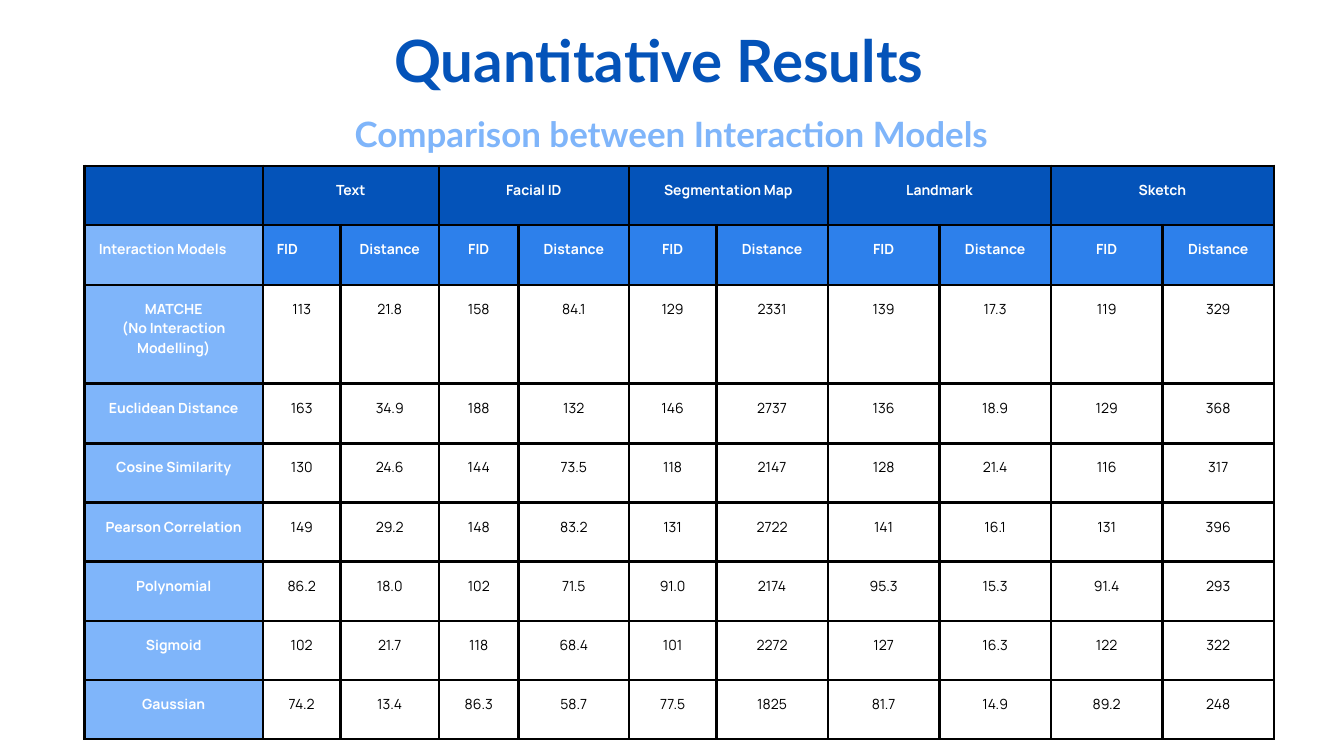
from dataclasses import dataclass

from lxml.etree import SubElement
from pptx import Presentation
from pptx.dml.color import RGBColor
from pptx.enum.text import MSO_ANCHOR, PP_ALIGN as Align
from pptx.oxml.ns import qn
from pptx.util import Pt

PX = 9144  # EMU per px, 100 px to the inch
NAVY, BLUE, SKY = "0453B9", "2D80EB", "7FB5FA"
WHITE, BLACK = "FFFFFF", "000000"
CELL_INSET = 21
BORDER_PT = 3

MODALITIES = ["Text", "Facial ID", "Segmentation Map", "Landmark", "Sketch"]
METRICS = ["FID", "Distance"]
RESULTS = {
    "MATCHE\n(No Interaction Modelling)": "113 21.8 158 84.1 129 2331 139 17.3 119 329",
    "Euclidean Distance": "163 34.9 188 132 146 2737 136 18.9 129 368",
    "Cosine Similarity": "130 24.6 144 73.5 118 2147 128 21.4 116 317",
    "Pearson Correlation": "149 29.2 148 83.2 131 2722 141 16.1 131 396",
    "Polynomial": "86.2 18.0 102 71.5 91.0 2174 95.3 15.3 91.4 293",
    "Sigmoid": "102 21.7 118 68.4 101 2272 127 16.3 122 322",
    "Gaussian": "74.2 13.4 86.3 58.7 77.5 1825 81.7 14.9 89.2 248",
}
COLUMN_WIDTHS = [265, 116, 146, 119, 164, 130] + [166] * 5
ROW_HEIGHTS = [88, 89, 147, 89] + [88] * 5


@dataclass(frozen=True)
class TextStyle:
    font: str
    size: float
    leading: float
    color: str
    bold: bool = True
    align: Align = Align.CENTER


@dataclass(frozen=True)
class Heading:
    text: str
    left: int
    top: int
    width: int
    height: int
    style: TextStyle


HEADINGS = [
    Heading("Quantitative Results", 397, 41, 1167, 100,
            TextStyle("Lato", 62.4, 71.8, NAVY)),
    Heading("Comparison between Interaction Models", 212, 170, 1575, 61,
            TextStyle("Lato", 37.4, 43, SKY)),
]
LABEL = TextStyle("Manrope", 15, 21, WHITE)
LEFT_LABEL = TextStyle("Manrope", 15, 21, WHITE, align=Align.LEFT)
VALUE = TextStyle("Manrope", 15, 21, BLACK, bold=False)


def rgb(color: str) -> RGBColor:
    return RGBColor.from_string(color)


def write(frame, text: str, style: TextStyle) -> None:
    frame.word_wrap = True
    font_values = {"name": style.font, "size": Pt(style.size), "bold": style.bold}
    for index, line in enumerate(text.split("\n")):
        paragraph = frame.paragraphs[0] if index == 0 else frame.add_paragraph()
        paragraph.alignment = style.align
        paragraph.line_spacing = Pt(style.leading)
        run = paragraph.add_run()
        run.text = line
        for name, value in font_values.items():
            setattr(run.font, name, value)
        run.font.color.rgb = rgb(style.color)


def set_margins(target, inset: int) -> None:
    for side in ("left", "top", "right", "bottom"):
        setattr(target, f"margin_{side}", inset * PX)


def add_heading(slide, heading: Heading) -> None:
    box = slide.shapes.add_textbox(heading.left * PX, heading.top * PX,
                                   heading.width * PX, heading.height * PX)
    set_margins(box.text_frame, 0)
    write(box.text_frame, heading.text, heading.style)


def add_borders(cell) -> None:
    """Outline all four sides; the lines must precede the cell's fill."""
    properties = cell._tc.get_or_add_tcPr()
    for index, side in enumerate("LRTB"):
        line = SubElement(properties, qn(f"a:ln{side}"), w=str(Pt(BORDER_PT)))
        fill = SubElement(line, qn("a:solidFill"))
        SubElement(fill, qn("a:srgbClr"), val=BLACK)
        properties.insert(index, line)


def fill_cell(cell, text: str, style: TextStyle, fill: str | None) -> None:
    set_margins(cell, CELL_INSET)
    cell.vertical_anchor = MSO_ANCHOR.TOP
    if fill:
        cell.fill.solid()
        cell.fill.fore_color.rgb = rgb(fill)
    else:
        cell.fill.background()
    if text:
        write(cell.text_frame, text, style)
    add_borders(cell)


def add_results_table(slide, left: int, top: int) -> None:
    table = slide.shapes.add_table(
        len(ROW_HEIGHTS), len(COLUMN_WIDTHS), left * PX, top * PX,
        sum(COLUMN_WIDTHS) * PX, sum(ROW_HEIGHTS) * PX).table
    table.first_row = table.horz_banding = False
    for column, width in zip(table.columns, COLUMN_WIDTHS):
        column.width = width * PX
    for row, height in zip(table.rows, ROW_HEIGHTS):
        row.height = height * PX

    modality_row = [""]
    for modality in MODALITIES:
        modality_row += [modality, ""]
    for column, text in enumerate(modality_row):
        fill_cell(table.cell(0, column), text, LABEL, NAVY)
    for column in range(1, len(COLUMN_WIDTHS), 2):
        table.cell(0, column).merge(table.cell(0, column + 1))

    metric_row = ["Interaction Models"] + METRICS * len(MODALITIES)
    for column, text in enumerate(metric_row):
        fill_cell(table.cell(1, column), text,
                  LEFT_LABEL if column < 2 else LABEL, BLUE if column else SKY)

    for row, (model, scores) in enumerate(RESULTS.items(), start=2):
        fill_cell(table.cell(row, 0), model, LABEL, SKY)
        for column, score in enumerate(scores.split(), start=1):
            fill_cell(table.cell(row, column), score, VALUE, None)


def main() -> None:
    presentation = Presentation()
    presentation.slide_width = 2000 * PX
    presentation.slide_height = 1125 * PX
    slide = presentation.slides.add_slide(presentation.slide_layouts[6])
    for heading in HEADINGS:
        add_heading(slide, heading)
    add_results_table(slide, 126, 247)
    presentation.save("out.pptx")


if __name__ == "__main__":
    main()
